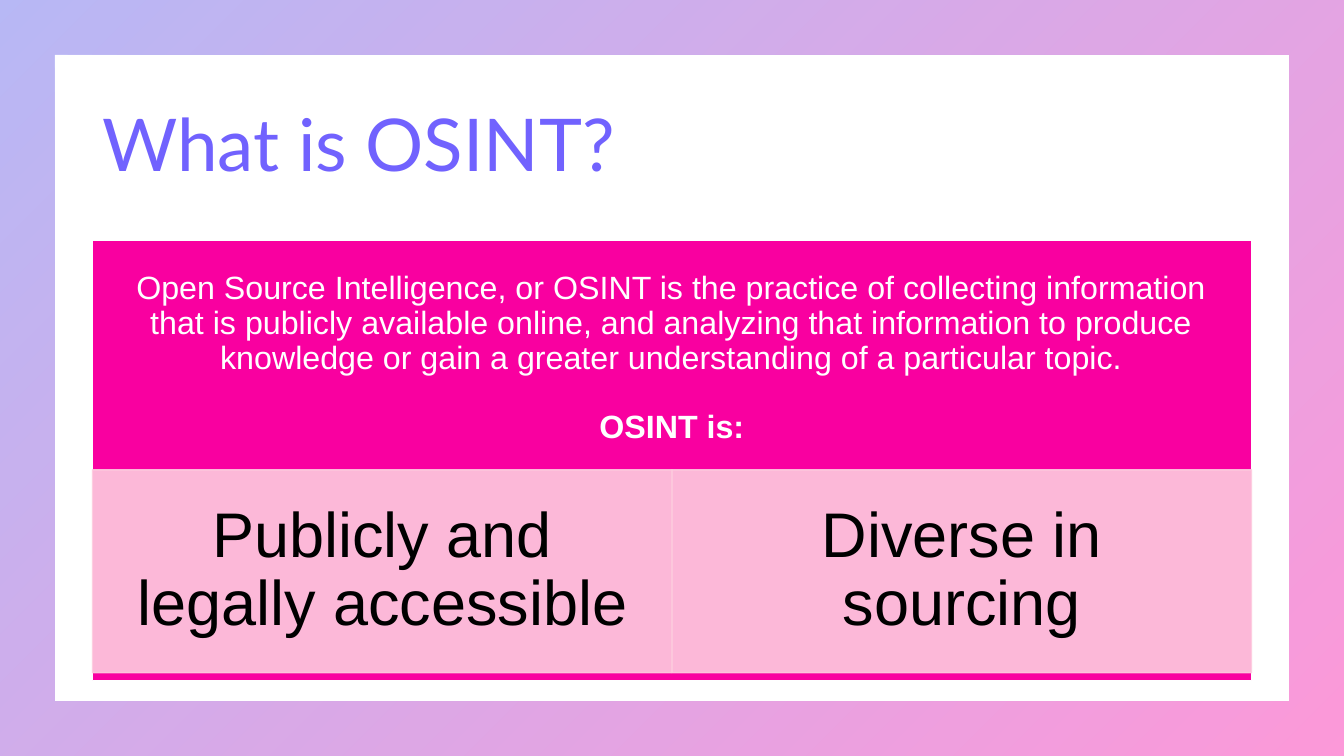
from dataclasses import dataclass

from pptx import Presentation
from pptx.dml.color import RGBColor
from pptx.enum.shapes import MSO_SHAPE
from pptx.enum.text import MSO_ANCHOR, MSO_AUTO_SIZE, PP_ALIGN
from pptx.oxml.ns import qn
from pptx.util import Cm, Pt

RECT, FRAME = MSO_SHAPE.RECTANGLE, MSO_SHAPE.FRAME
MIDDLE, NO_FIT = MSO_ANCHOR.MIDDLE, MSO_AUTO_SIZE.NONE
LEFT, CENTER = PP_ALIGN.LEFT, PP_ALIGN.CENTER

TITLE = "What is OSINT?"
INTRO = (
    "Open Source Intelligence, or OSINT is the practice of collecting "
    "information that is publicly available online, and analyzing that "
    "information to produce knowledge or gain a greater understanding of "
    "a particular topic."
)
LEAD = "OSINT is:"
CARDS = ["Publicly and legally accessible", "Diverse in sourcing"]


@dataclass(frozen=True)
class Theme:
    head: str = "Lato"
    body: str = "Arial"
    violet: str = "7162FE"
    indigo: str = "4D4EE6"
    pink: str = "F900A0"
    blush: str = "FDCCDF"
    white: str = "FFFFFF"
    black: str = "000000"
    big: int = 52
    mid: int = 45
    small: int = 23


THEME = Theme()
WIDE, HIGH = Cm(33.87), Cm(19.05)
EDGE, SPAN = Cm(2.33), Cm(29.21)
TOP, DEEP = Cm(6.05), Cm(11.1)


def color(code):
    return RGBColor.from_string(code)


def fade(shape, share):
    for tint in shape.element.spPr.iter(qn("a:srgbClr")):
        alpha = tint.makeelement(qn("a:alpha"), {"val": str(share * 1000)})
        tint.append(alpha)


def block(slide, box, fill):
    shape = slide.shapes.add_shape(RECT, *box)
    shape.shadow.inherit = False
    shape.fill.solid()
    shape.fill.fore_color.rgb = color(fill)
    shape.line.width = Pt(1)
    return shape


def setup(frame, side, rim):
    frame.word_wrap = True
    frame.auto_size = NO_FIT
    frame.vertical_anchor = MIDDLE
    frame.margin_left = frame.margin_right = side
    frame.margin_top = frame.margin_bottom = rim


def write(para, text, font, size, tint, align=CENTER, bold=False):
    para.alignment = align
    para.line_spacing = 0.9
    run = para.add_run()
    run.text = text
    run.font.name = font
    run.font.size = Pt(size)
    run.font.bold = bold
    run.font.color.rgb = color(tint)


def add_frame(slide):
    border = slide.shapes.add_shape(FRAME, 0, 0, WIDE, HIGH)
    border.shadow.inherit = False
    border.adjustments[0] = 0.072
    border.line.fill.background()
    border.fill.gradient()
    border.fill.gradient_angle = 315
    ends = zip(border.fill.gradient_stops, (THEME.indigo, THEME.pink), (0, 1))
    for stop, tint, place in ends:
        stop.color.rgb = color(tint)
        stop.position = place
    fade(border, 40)


def add_title(slide):
    title = slide.shapes.title
    title.left, title.top, title.width, title.height = EDGE, Cm(1.88), SPAN, Cm(3.68)
    setup(title.text_frame, Cm(0.25), Cm(0.13))
    para = title.text_frame.paragraphs[0]
    write(para, TITLE, THEME.head, THEME.big, THEME.violet, LEFT)


def add_intro(slide):
    panel = block(slide, (EDGE, TOP, SPAN, DEEP), THEME.pink)
    panel.line.color.rgb = color(THEME.white)
    frame = slide.shapes.add_textbox(EDGE, TOP, SPAN, Cm(5.99)).text_frame
    setup(frame, Cm(0.45), Cm(0.45))
    style = THEME.body, THEME.small, THEME.white
    write(frame.paragraphs[0], INTRO, *style)
    lead = frame.add_paragraph()
    lead.space_before = Pt(25)
    write(lead, LEAD, *style, bold=True)


def add_cards(slide):
    width = SPAN // len(CARDS)
    for spot, text in enumerate(CARDS):
        box = EDGE + spot * width, Cm(11.84), width, Cm(5.11)
        card = block(slide, box, THEME.blush)
        card.line.color.rgb = color(THEME.blush)
        fade(card, 90)
        setup(card.text_frame, Cm(0.89), Cm(0.15))
        para = card.text_frame.paragraphs[0]
        write(para, text, THEME.body, THEME.mid, THEME.black)


def main():
    deck = Presentation()
    deck.slide_width, deck.slide_height = WIDE, HIGH
    slide = deck.slides.add_slide(deck.slide_layouts[5])
    add_frame(slide)
    add_title(slide)
    add_intro(slide)
    add_cards(slide)
    deck.save("out.pptx")


if __name__ == "__main__":
    main()
